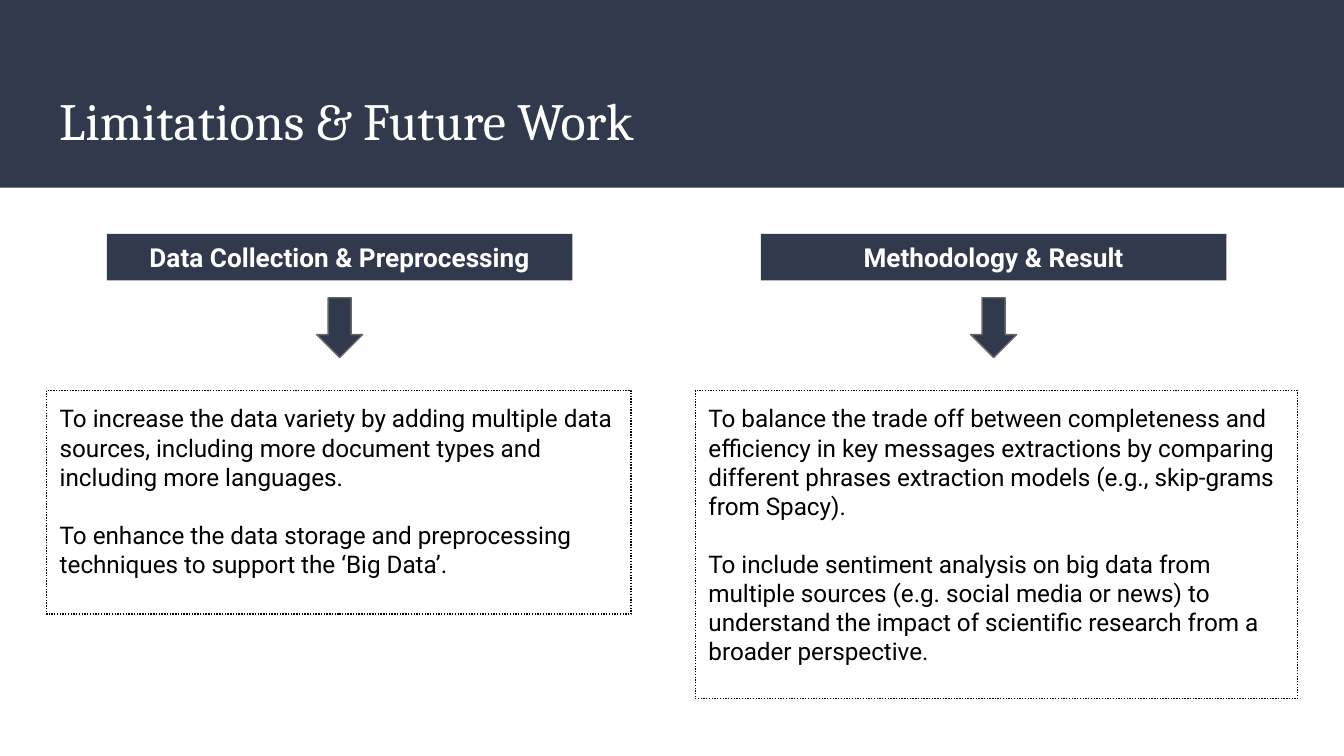
from pptx import Presentation
from pptx.dml.color import RGBColor
from pptx.enum.dml import MSO_LINE
from pptx.enum.shapes import MSO_SHAPE as Shape
from pptx.enum.text import MSO_ANCHOR as Anchor, PP_ALIGN as Align
from pptx.util import Cm, Pt

NAVY = RGBColor(0x31, 0x39, 0x4D)
GRAY = RGBColor(0x66, 0x66, 0x66)
BLACK = RGBColor(0, 0, 0)
WHITE = RGBColor(255, 255, 255)

deck = Presentation()
deck.slide_width, deck.slide_height = Cm(25.4), Cm(14.29)
slide = deck.slides.add_slide(deck.slide_layouts[6])


def add_block(kind, left, top, width, height, fill=None, line=None):
    """Add a shape placed in centimetres, with no fill or line unless given."""
    block = slide.shapes.add_shape(kind, Cm(left), Cm(top), Cm(width), Cm(height))
    block.shadow.inherit = False
    if fill is None:
        block.fill.background()
    else:
        block.fill.solid()
        block.fill.fore_color.rgb = fill
    if line is None:
        block.line.fill.background()
    else:
        block.line.color.rgb = line
        block.line.width = Pt(0.75)
    return block


def write(shape, texts, font, size, color, bold=False, align=Align.LEFT,
          anchor=Anchor.TOP, gap=0):
    frame = shape.text_frame
    frame.word_wrap = True
    frame.vertical_anchor = anchor
    frame.margin_left = frame.margin_right = Cm(0.25)
    frame.margin_top = frame.margin_bottom = Cm(0.25)
    frame.text = "\n".join(texts)
    for i, para in enumerate(frame.paragraphs):
        para.alignment = align
        if i:
            para.space_before = Pt(gap)
        for run in para.runs:
            run.font.name = font
            run.font.size = Pt(size)
            run.font.bold = bold
            run.font.color.rgb = color


add_block(Shape.RECTANGLE, 0, 0, 25.4, 3.55, fill=NAVY)
title = slide.shapes.add_textbox(Cm(0.87), Cm(1.4), Cm(23.67), Cm(1.73))
write(title, ["Limitations & Future Work"], "Cambria", 28, WHITE, anchor=Anchor.MIDDLE)

# Heading, centre of heading and arrow, then left, width, height and text of the box
columns = [
    ("Data Collection & Preprocessing", 6.42, 0.88, 11.05, 4.23, [
        "To increase the data variety by adding multiple data sources, "
        "including more document types and including more languages.",
        "To enhance the data storage and preprocessing techniques to "
        "support the ‘Big Data’.",
    ]),
    ("Methodology & Result", 18.78, 13.14, 11.38, 5.83, [
        "To balance the trade off between completeness and efficiency in key "
        "messages extractions by comparing different phrases extraction models "
        "(e.g., skip-grams from Spacy).",
        "To include sentiment analysis on big data from multiple sources (e.g. "
        "social media or news) to understand the impact of scientific research "
        "from a broader perspective.",
    ]),
]
HEAD_W, ARROW_W = 8.8, 0.87

for name, mid, left, width, height, points in columns:
    box = add_block(Shape.RECTANGLE, left, 7.38, width, height, line=BLACK)
    box.line.dash_style = MSO_LINE.ROUND_DOT
    write(box, points, "Roboto", 13, BLACK, gap=15.5)

    head = add_block(Shape.RECTANGLE, mid - HEAD_W / 2, 4.42, HEAD_W, 0.88, fill=NAVY)
    write(head, [name], "Roboto", 14, WHITE, bold=True, align=Align.CENTER,
          anchor=Anchor.MIDDLE)

    add_block(Shape.DOWN_ARROW, mid - ARROW_W / 2, 5.63, ARROW_W, 1.13,
              fill=NAVY, line=GRAY)

deck.save("out.pptx")
